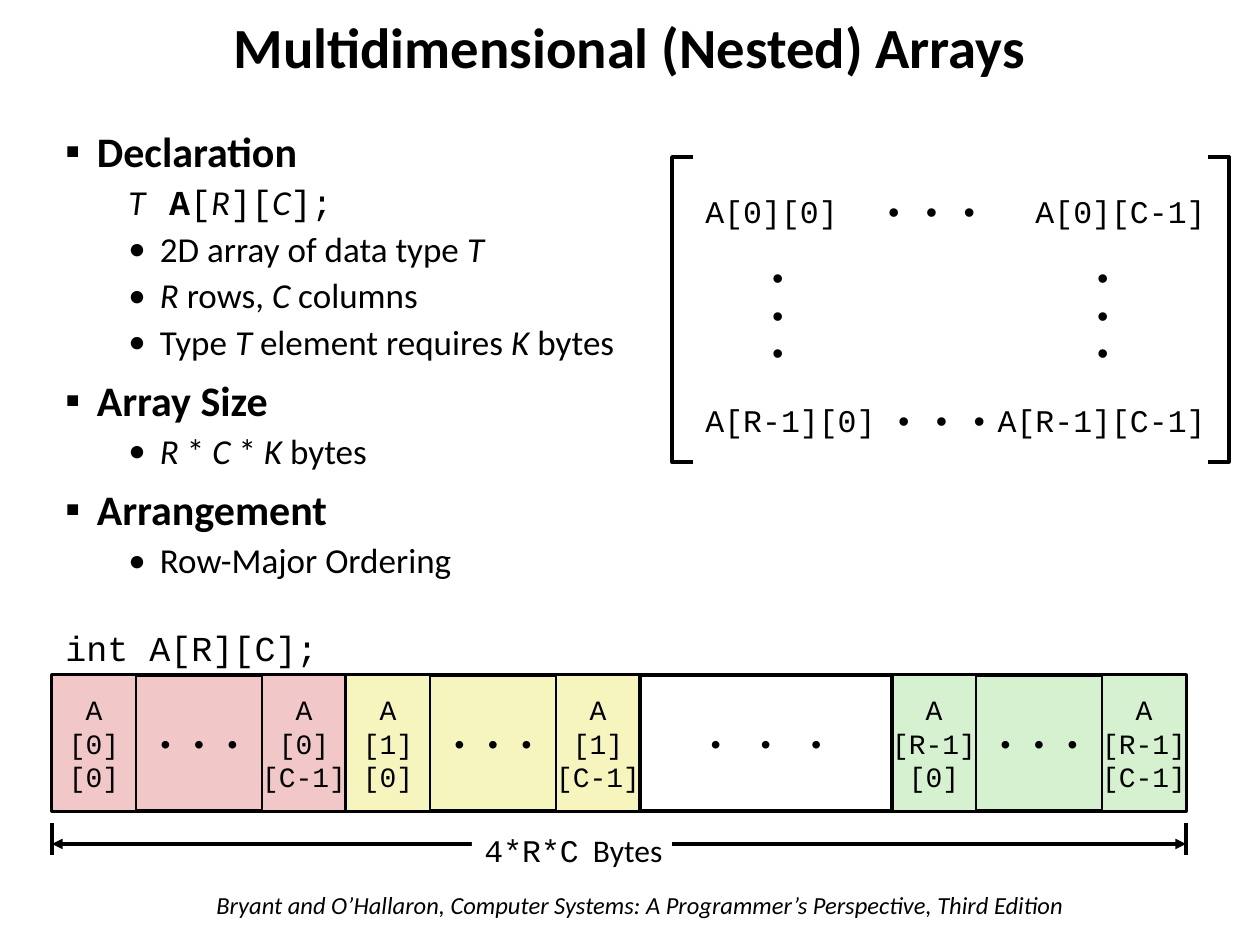
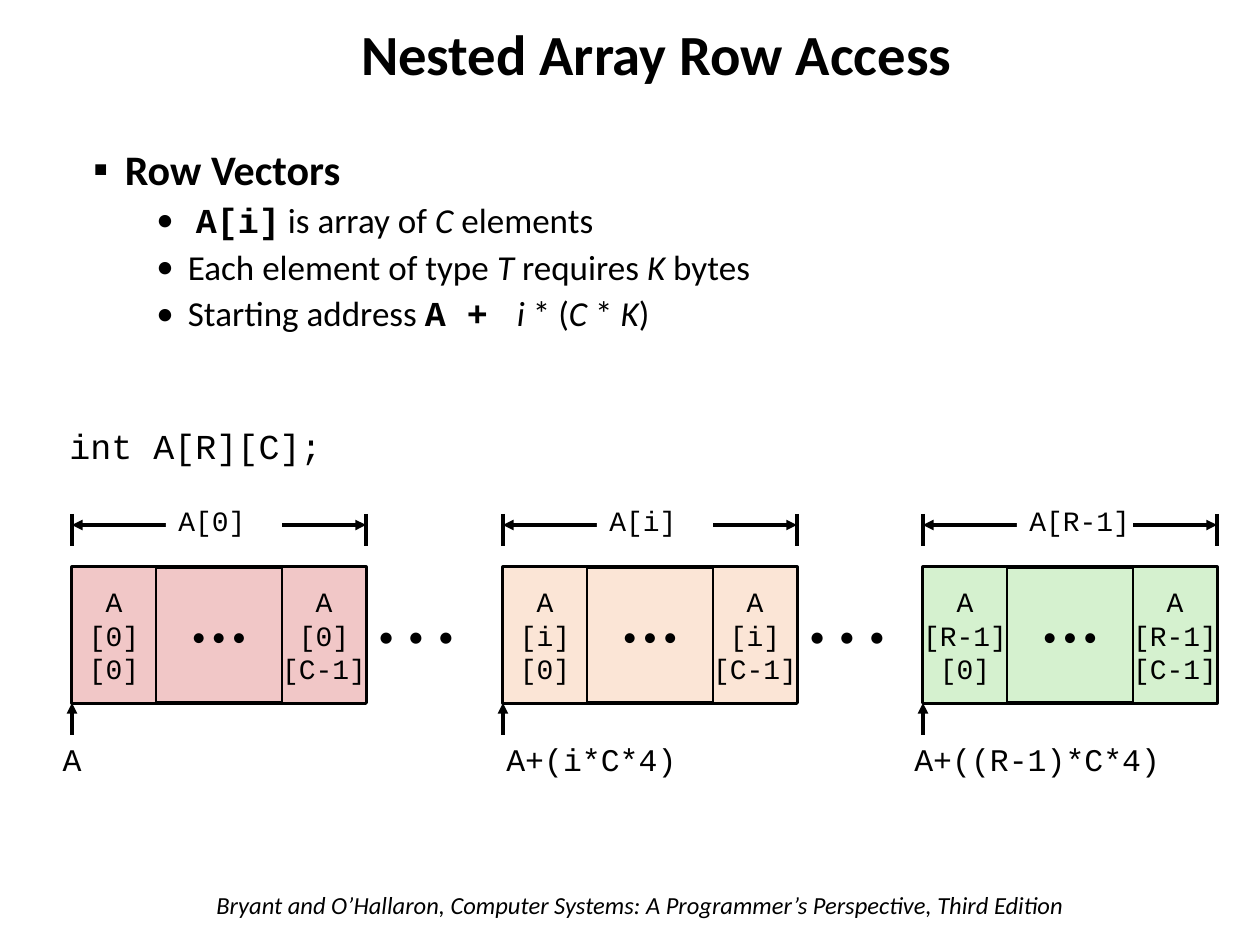
import dataclasses
import pptx
import pptx.dml.color
import pptx.enum.shapes
import pptx.enum.text
import pptx.oxml.ns
import pptx.util
from lxml import etree

SCALE = 914400 / 126
Pt = pptx.util.Pt
ALIGN = pptx.enum.text.PP_ALIGN
ANCHOR = pptx.enum.text.MSO_ANCHOR
DOTS = "• • •"


def rgb(value):
    return pptx.dml.color.RGBColor.from_string(value)


def text_style(size, name="Calibri", bold=False, italic=False):
    return dict(size=Pt(size), name=name, bold=bold, italic=italic)


@dataclasses.dataclass(frozen=True)
class Theme:
    ink = rgb("000000")
    paper = rgb("FFFFFF")
    pink = rgb("F1C7C7")
    yellow = rgb("F6F5BD")
    peach = rgb("FBE5D6")
    green = rgb("D5F1CF")
    title = text_style(32.4, bold=True)
    footer = text_style(14, italic=True)
    heading = text_style(24, bold=True)
    detail = text_style(20)
    declaration = text_style(20, "Courier New")
    code = text_style(18, "Courier New")
    cell = text_style(16, "Courier New")
    cell_dots = text_style(16)
    gap_dots = text_style(18)
    outline = 2.25
    rule = 2
    cell_line = 1


THEME = Theme()
ITALIC = dict(italic=True)
MONO = dict(name="Courier New")
MONO_BOLD = dict(name="Courier New", bold=True)
CELL, ROW_WIDTH, ROW_HEIGHT = 84, 294, 136


def px(length):
    return pptx.util.Emu(round(length * SCALE))


def apply(target, values):
    for key, value in values.items():
        setattr(target, key, value)


def add_xml(parent, tag, **attributes):
    return etree.SubElement(parent, pptx.oxml.ns.qn(tag), attributes)


def add_runs(paragraph, runs, style):
    for words, changes in runs:
        values = {**style, **changes}
        tracking = values.pop("tracking", None)
        run = paragraph.add_run()
        run.text = words
        apply(run.font, values)
        run.font.color.rgb = THEME.ink
        if tracking:
            run._r.get_or_add_rPr().set("spc", str(round(tracking * 100)))


def write(frame, lines, style, align=ALIGN.LEFT, **layout):
    apply(frame, dict(word_wrap=False, vertical_anchor=ANCHOR.MIDDLE) | layout)
    for number, line in enumerate(lines):
        paragraph = frame.add_paragraph() if number else frame.paragraphs[0]
        paragraph.alignment = align
        add_runs(paragraph, [(line, {})] if isinstance(line, str) else line, style)
    return frame


def add_text(slide, box, lines, style, align=ALIGN.LEFT, **layout):
    frame = slide.shapes.add_textbox(*map(px, box)).text_frame
    return write(frame, lines, style, align, **layout)


def add_box(slide, box, lines, style, align=ALIGN.LEFT, fill=THEME.paper, weight=None):
    block = slide.shapes.add_shape(pptx.enum.shapes.MSO_SHAPE.RECTANGLE, *map(px, box))
    block.shadow.inherit = False
    block.fill.solid()
    block.fill.fore_color.rgb = fill
    if weight:
        block.line.width = Pt(weight)
        block.line.color.rgb = THEME.ink
    else:
        block.line.fill.background()
    write(block.text_frame, lines, style, align)


def add_line(slide, start, end, heads=()):
    line = slide.shapes.add_connector(
        pptx.enum.shapes.MSO_CONNECTOR.STRAIGHT, *map(px, (*start, *end)))
    line.line.width = Pt(THEME.rule)
    line.line.color.rgb = THEME.ink
    for head in heads:
        add_xml(line.line._get_or_add_ln(), head, type="triangle")
    add_xml(line._element.spPr, "a:effectLst")


def add_frame(deck, title, title_box):
    slide = deck.slides.add_slide(deck.slide_layouts[6])
    add_text(slide, (204, 883, 895, 43),
             ["Bryant and O’Hallaron, Computer Systems: A Programmer’s Perspective, Third Edition"],
             THEME.footer, word_wrap=True)
    heading = add_text(slide, title_box, [title], THEME.title, ALIGN.CENTER, word_wrap=True)
    heading.paragraphs[0].line_spacing = 0.9
    return slide


def add_outline(slide, box, entries):
    levels = {
        "heading": (THEME.heading, 0.25, "▪", 10),
        "point": (THEME.detail, 0.75, "•", 5),
        "code": (THEME.detail, 0.75, None, 5),
    }
    frame = slide.shapes.add_textbox(*map(px, box)).text_frame
    frame.word_wrap = True
    for number, (level, runs) in enumerate(entries):
        style, indent, bullet, before = levels[level]
        paragraph = frame.add_paragraph() if number else frame.paragraphs[0]
        apply(paragraph, dict(line_spacing=0.9, space_before=Pt(before if number else 0)))
        properties = paragraph._p.get_or_add_pPr()
        properties.set("marL", str(pptx.util.Inches(indent)))
        properties.set("indent", str(pptx.util.Inches(-0.25)))
        if bullet:
            add_xml(properties, "a:buFont", typeface="Calibri")
            add_xml(properties, "a:buChar", char=bullet)
        else:
            add_xml(properties, "a:buNone")
        add_runs(paragraph, runs, style)


def add_declaration(slide, left, top):
    add_text(slide, (left, top, 300, 54), ["int A[R][C];"], THEME.declaration)


def add_row(slide, left, top, index, fill, dots_style):
    add_box(slide, (left, top, ROW_WIDTH, ROW_HEIGHT), [DOTS], dots_style,
            ALIGN.CENTER, fill, THEME.outline)
    for offset, column in ((0, "0"), (ROW_WIDTH - CELL, "C-1")):
        add_box(slide, (left + offset, top, CELL, ROW_HEIGHT),
                ["A", f"[{index}]", f"[{column}]"], THEME.cell,
                ALIGN.CENTER, fill, THEME.cell_line)


def add_extent(slide, left, top, width, drop, label_box, label, style):
    for x in (left, left + width):
        add_line(slide, (x, top), (x, top + 32))
    add_line(slide, (left, top + drop), (left + width, top + drop), ("a:headEnd", "a:tailEnd"))
    dx, dy, label_width, label_height = label_box
    add_box(slide, (left + dx, top + dy, label_width, label_height), [label], style)


def add_matrix(slide, left, top, width, height):
    entries = [
        (21, 22, 168, 63, ["A[0][0]"], ALIGN.LEFT),
        (378, 22, 168, 63, ["A[0][C-1]"], ALIGN.RIGHT),
        (21, 231, 168, 63, ["A[R-1][0]"], ALIGN.LEFT),
        (200, 22, 126, 63, [DOTS], ALIGN.LEFT),
        (210, 231, 126, 63, [DOTS], ALIGN.LEFT),
        (378, 231, 168, 63, ["A[R-1][C-1]"], ALIGN.RIGHT),
        (84, 105, 63, 105, DOTS.split(), ALIGN.LEFT),
        (409, 105, 63, 105, DOTS.split(), ALIGN.LEFT),
    ]
    for dx, dy, entry_width, entry_height, lines, align in entries:
        add_box(slide, (left + dx, top + dy, entry_width, entry_height), lines, THEME.code, align)
    for edge, tip in ((left, left + 21), (left + width, left + width - 21)):
        outline = slide.shapes.build_freeform(px(tip), px(top))
        corners = [(edge, top), (edge, top + height), (tip, top + height)]
        outline.add_line_segments([(px(x), px(y)) for x, y in corners], close=False)
        bracket = outline.convert_to_shape()
        bracket.shadow.inherit = False
        bracket.fill.background()
        bracket.line.width = Pt(THEME.rule)
        bracket.line.color.rgb = THEME.ink


def add_array_layout(slide, left, top):
    rows = [(0, "0", THEME.pink), (1, "1", THEME.yellow)]
    for position, index, fill in rows:
        add_row(slide, left + position * ROW_WIDTH, top, index, fill, THEME.cell)
    middle = left + len(rows) * ROW_WIDTH
    add_row(slide, middle + 3 * CELL, top, "R-1", THEME.green, THEME.cell)
    add_box(slide, (middle, top, 3 * CELL, ROW_HEIGHT),
            [[("• • ", dict(tracking=4.8)), ("•", {})]], THEME.cell,
            ALIGN.CENTER, weight=THEME.rule)
    size_label = [("4*R*C", {}), (" ", dict(name="Calibri", tracking=4)),
                  ("Bytes", dict(name="Calibri"))]
    add_extent(slide, left, top + 148, 3 * ROW_WIDTH + 3 * CELL, 21,
               (420, 0, 200, 53), size_label, THEME.code)


def add_row_vectors(slide, top):
    rows = [
        (72, "0", THEME.pink, "A", -27, 54, ALIGN.CENTER),
        (503, "i", THEME.peach, "A+(i*C*4)", -9, 249, ALIGN.LEFT),
        (923, "R-1", THEME.green, "A+((R-1)*C*4)", -21, 315, ALIGN.LEFT),
    ]
    for left, *_ in rows[:-1]:
        add_box(slide, (left + ROW_WIDTH, top, 136, ROW_HEIGHT),
                [[("• • ", dict(tracking=2)), ("•", {})]], THEME.gap_dots)
    for left, index, fill, address, shift, width, align in rows:
        add_row(slide, left, top, index, fill, THEME.cell_dots)
        add_extent(slide, left, top - 53, ROW_WIDTH, 11,
                   (94, -20, 116, 53), f"A[{index}]", THEME.cell)
        add_line(slide, (left, top + 168), (left, top + ROW_HEIGHT), ("a:tailEnd",))
        add_text(slide, (left + shift, top + 167, width, 50), [address],
                 THEME.code, align, word_wrap=True)


def build_arrays_slide(deck):
    slide = add_frame(deck, "Multidimensional (Nested) Arrays", (73, 11, 1113, 79))
    add_outline(slide, (53, 125, 611, 464), [
        ("heading", [("Declaration", {})]),
        ("code", [("T ", dict(italic=True, tracking=4.5)), ("A", MONO_BOLD), ("[", MONO),
                  ("R", ITALIC), ("][", MONO), ("C", ITALIC), ("];", MONO)]),
        ("point", [("2D array of data type ", {}), ("T", ITALIC)]),
        ("point", [("R", ITALIC), (" rows, ", {}), ("C", ITALIC), (" columns", {})]),
        ("point", [("Type ", {}), ("T", ITALIC), (" element requires ", {}),
                   ("K", ITALIC), (" bytes", {})]),
        ("heading", [("Array Size", {})]),
        ("point", [("R", ITALIC), (" * ", {}), ("C ", ITALIC), ("* ", {}),
                   ("K ", ITALIC), ("bytes", {})]),
        ("heading", [("Arrangement", {})]),
        ("point", [("Row-Major Ordering", {})]),
    ])
    add_matrix(slide, 672, 157, 557, 305)
    add_declaration(slide, 53, 620)
    add_array_layout(slide, 52, 675)


def build_row_access_slide(deck):
    slide = add_frame(deck, "Nested Array Row Access", (179, 18, 955, 79))
    add_outline(slide, (81, 143, 822, 200), [
        ("heading", [("Row Vectors", {})]),
        ("point", [(" ", {}), ("A[i]", MONO_BOLD), (" is array of ", {}),
                   ("C", ITALIC), (" elements", {})]),
        ("point", [("Each element of type ", {}), ("T ", ITALIC), ("requires ", {}),
                   ("K ", ITALIC), ("bytes", {})]),
        ("point", [("Starting address ", {}), ("A +", MONO_BOLD),
                   (" ", dict(MONO_BOLD, tracking=4.5)), ("i", ITALIC), (" * (", {}),
                   ("C ", ITALIC), ("* ", {}), ("K", ITALIC), (")", {})]),
    ])
    add_row_vectors(slide, 567)
    add_declaration(slide, 57, 418)


def main():
    deck = pptx.Presentation()
    apply(deck, dict(slide_width=px(1260), slide_height=px(945)))
    build_arrays_slide(deck)
    build_row_access_slide(deck)
    deck.save("out.pptx")


if __name__ == "__main__":
    main()
